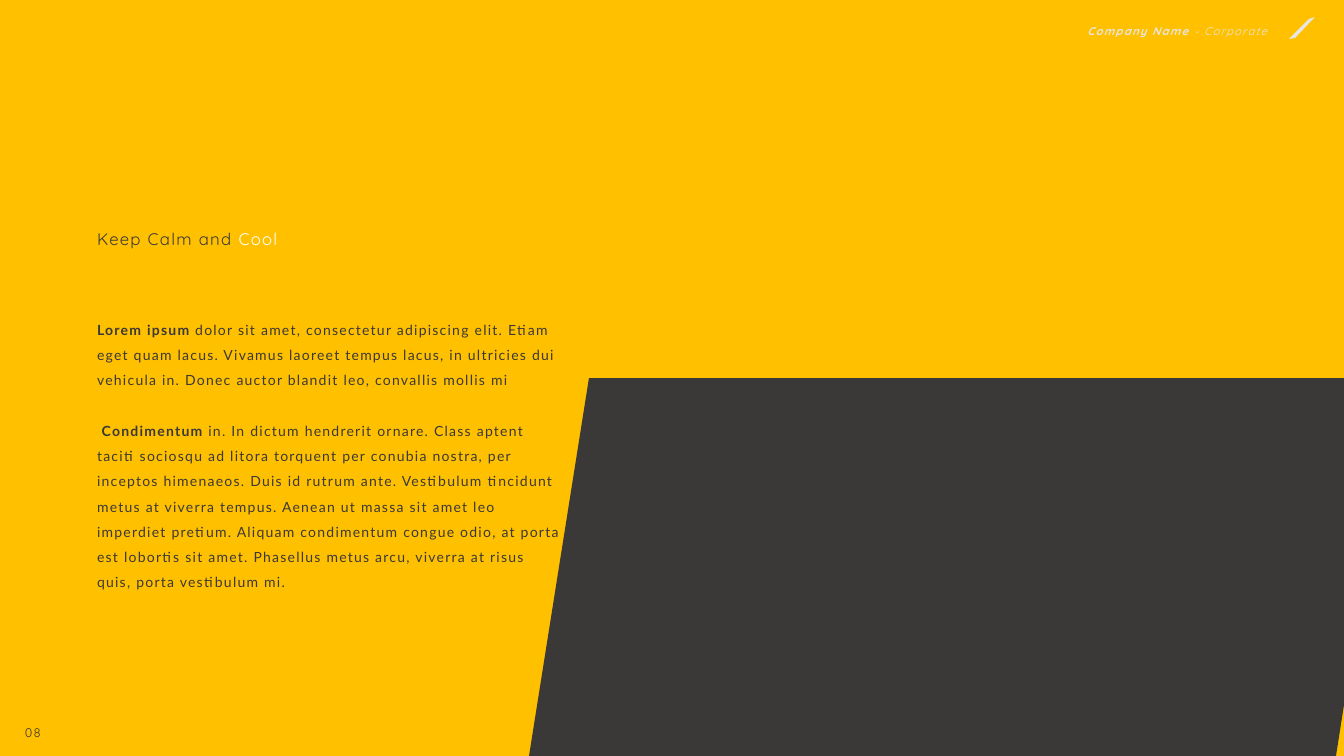
from dataclasses import dataclass

from lxml import etree
from pptx import Presentation
from pptx import util as u
from pptx.dml.color import RGBColor
from pptx.enum import text as t
from pptx.oxml.ns import qn

PX = 914400 / 100.8


@dataclass(frozen=True)
class Theme:
    yellow: str = "FFC000"
    dark: str = "3B3838"
    light: str = "E7E6E6"
    white: str = "FFFFFF"
    heading_font: str = "Quicksand"
    body_font: str = "Lato"
    header_size: int = 8
    number_size: int = 9
    body_size: int = 10
    title_size: int = 12
    line_spacing: float = 1.5
    tracking: str = "90"


THEME = Theme()

BODY = [
    [
        ("Lorem ipsum ", {"bold": True}),
        ("dolor sit amet, consectetur adipiscing elit. Etiam eget quam lacus. "
         "Vivamus laoreet tempus lacus, in ultricies dui vehicula in. "
         "Donec auctor blandit leo, convallis mollis mi", {}),
    ],
    [
        (" Condimentum ", {"bold": True}),
        ("in. In dictum hendrerit ornare. Class aptent taciti sociosqu ad litora "
         "torquent per conubia nostra, per inceptos himenaeos. Duis id rutrum ante. "
         "Vestibulum tincidunt metus at viverra tempus. Aenean ut massa sit amet leo "
         "imperdiet pretium. Aliquam condimentum congue odio, at porta est lobortis "
         "sit amet. Phasellus metus arcu, viverra at risus quis, porta vestibulum mi.", {}),
    ],
]


def px(length):
    return u.Emu(round(length * PX))


def place(shape, box):
    shape.left, shape.top, shape.width, shape.height = map(px, box)
    return shape


def add_text_box(slide, box):
    return slide.shapes.add_textbox(*map(px, box))


def write(shape, paragraphs, *, size, color=THEME.dark, font=THEME.heading_font,
          align=t.PP_ALIGN.LEFT, gap=0):
    frame = shape.text_frame
    frame.word_wrap = True
    frame.auto_size = t.MSO_AUTO_SIZE.SHAPE_TO_FIT_TEXT
    frame.vertical_anchor = t.MSO_ANCHOR.TOP
    for index, runs in enumerate(paragraphs):
        paragraph = frame.add_paragraph() if index else frame.paragraphs[0]
        properties = paragraph._p.get_or_add_pPr()
        properties.set("marL", "0")
        properties.set("indent", "0")
        etree.SubElement(properties, qn("a:buNone"))
        paragraph.alignment = align
        paragraph.line_spacing = THEME.line_spacing
        paragraph.space_before = u.Pt(gap if index else 0)
        for words, changes in runs:
            run = paragraph.add_run()
            run.text = words
            run.font.name = font
            run.font.size = u.Pt(size)
            run.font.bold = changes.get("bold", False)
            run.font.italic = changes.get("italic", False)
            run.font.color.rgb = RGBColor.from_string(changes.get("color", color))
            run._r.get_or_add_rPr().set("spc", THEME.tracking)


def add_polygon(slide, box, points, color):
    left, top = box[:2]
    corners = [(left + x, top + y) for x, y in points]
    builder = slide.shapes.build_freeform(*corners[0], scale=PX)
    builder.add_line_segments(corners[1:], close=True)
    shape = builder.convert_to_shape()
    shape.shadow.inherit = False
    shape.fill.solid()
    shape.fill.fore_color.rgb = RGBColor.from_string(color)
    shape.line.fill.background()


def add_panel(slide, box):
    width, height = box[2:]
    points = [(60, 0), (width, 0), (width, 327), (width - 8, height), (0, height)]
    add_polygon(slide, box, points, THEME.dark)


def add_header(slide, box):
    left, top, width, height = box
    slash = (left + width - 26, top + 4, 26, 22)
    add_polygon(slide, slash, [(6, 21), (0, 22), (20, 2), (26, 0)], THEME.light)
    label = add_text_box(slide, (left, top, width - 38, height))
    write(label, [[("Company Name ", {"bold": True, "italic": True}),
                   ("- Corporate", {"italic": True})]],
          size=THEME.header_size, color=THEME.light, align=t.PP_ALIGN.RIGHT)


def add_story(slide, box):
    left, top, width, height = box
    title = place(slide.shapes.title, (left, top, 239, 37))
    write(title, [[("Keep Calm and ", {}), ("Cool", {"color": THEME.white})]],
          size=THEME.title_size)
    body = place(slide.placeholders[1], (left, top + 94, width, height - 94))
    write(body, BODY, size=THEME.body_size, font=THEME.body_font, gap=18)


def add_page_number(slide, box):
    write(add_text_box(slide, box), [[("08", {})]], size=THEME.number_size)


def main():
    presentation = Presentation()
    presentation.slide_width, presentation.slide_height = px(1344), px(756)
    slide = presentation.slides.add_slide(presentation.slide_layouts[1])
    slide.background.fill.solid()
    slide.background.fill.fore_color.rgb = RGBColor.from_string(THEME.yellow)
    add_panel(slide, (529, 378, 815, 378))
    add_header(slide, (1073, 13, 242, 28))
    add_page_number(slide, (15, 712, 53, 30))
    add_story(slide, (87, 214, 486, 355))
    presentation.save("out.pptx")


if __name__ == "__main__":
    main()
